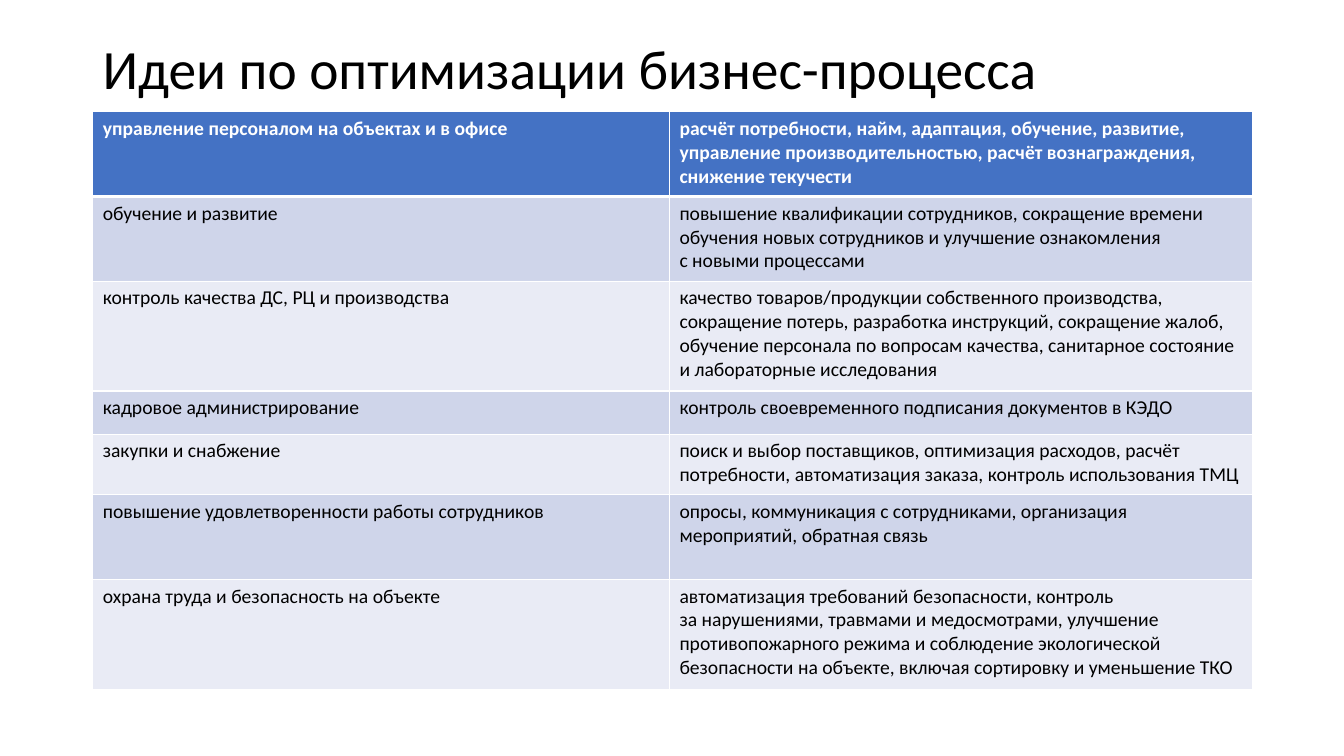
from lxml.etree import SubElement
from pptx import Presentation
from pptx.dml.color import RGBColor
from pptx.enum.text import MSO_ANCHOR as Anchor
from pptx.oxml.ns import qn
from pptx.util import Inches, Pt

WHITE = RGBColor(0xFF, 0xFF, 0xFF)
BLACK = RGBColor(0, 0, 0)
BLUE = RGBColor(0x44, 0x72, 0xC4)
BANDS = RGBColor(0xE9, 0xEB, 0xF5), RGBColor(0xCF, 0xD5, 0xEA)

SHORT = {"и", "в", "с", "на", "по", "за"}
LEFT, WIDE = 6.9, 86.27
COLS = 42.91, 43.36
IDEAS = [
    (11.2, "управление персоналом на объектах и в офисе",
     "расчёт потребности, найм, адаптация, обучение, развитие, управление "
     "производительностью, расчёт вознаграждения, снижение текучести"),
    (11.2, "обучение и развитие",
     "повышение квалификации сотрудников, сокращение времени обучения новых "
     "сотрудников и улучшение ознакомления с новыми процессами"),
    (14.53, "контроль качества ДС, РЦ и производства",
     "качество товаров/продукции собственного производства, сокращение потерь, "
     "разработка инструкций, сокращение жалоб, обучение персонала по вопросам "
     "качества, санитарное состояние и лабораторные исследования"),
    (5.73, "кадровое администрирование",
     "контроль своевременного подписания документов в КЭДО"),
    (8, "закупки и снабжение",
     "поиск и выбор поставщиков, оптимизация расходов, расчёт потребности, "
     "автоматизация заказа, контроль использования ТМЦ"),
    (11.2, "повышение удовлетворенности работы сотрудников",
     "опросы, коммуникация с сотрудниками, организация мероприятий, обратная связь"),
    (14.53, "охрана труда и безопасность на объекте",
     "автоматизация требований безопасности, контроль за нарушениями, травмами "
     "и медосмотрами, улучшение противопожарного режима и соблюдение экологической "
     "безопасности на объекте, включая сортировку и уменьшение ТКО"),
]


def glue(text):
    """Tie each short word to the next one with a no-break space."""
    return "".join(word + (chr(160) if word in SHORT else " ")
                   for word in text.split()).rstrip()


class Deck:
    """Slide builder; lengths are percent of the slide's size."""
    face = "Calibri"

    def __init__(self):
        self.show = Presentation()
        self.show.slide_width = Inches(13.33)
        self.show.slide_height = Inches(7.5)
        self.slide = self.show.slides.add_slide(self.show.slide_layouts[6])

    def across(self, share):
        return round(self.show.slide_width * share / 100)

    def down(self, share):
        return round(self.show.slide_height * share / 100)

    def box(self, left, top, wide, high):
        return self.across(left), self.down(top), self.across(wide), self.down(high)

    def label(self, frame, text, size, color, bold=False):
        frame.text = text
        font = frame.paragraphs[0].runs[0].font
        style = {"name": self.face, "size": Pt(size), "bold": bold}
        for key, value in style.items():
            setattr(font, key, value)
        font.color.rgb = color

    def title(self, text, area):
        frame = self.slide.shapes.add_textbox(*self.box(*area)).text_frame
        style = {"word_wrap": True, "vertical_anchor": Anchor.MIDDLE}
        for key, value in style.items():
            setattr(frame, key, value)
        self.label(frame, text, 39.6, BLACK)
        frame.paragraphs[0].line_spacing = 0.9

    def edge(self, cell, side, width):
        line = SubElement(cell._tc.get_or_add_tcPr(), qn("a:ln" + side),
                          w=str(Pt(width)))
        fill = SubElement(line, qn("a:solidFill"))
        SubElement(fill, qn("a:srgbClr"), val=str(WHITE))

    def table(self, left, top, cols, data):
        area = self.box(left, top, sum(cols), sum(row[0] for row in data))
        grid = self.slide.shapes.add_table(len(data), len(cols), *area).table
        for col, wide in zip(grid.columns, cols):
            col.width = self.across(wide)
        for i, (high, *texts) in enumerate(data):
            grid.rows[i].height = self.down(high)
            head = i == 0
            for j, text in enumerate(texts):
                cell = grid.cell(i, j)
                self.label(cell.text_frame, glue(text), 14,
                           WHITE if head else BLACK, head)
                heavy = {0: "B", 1: "T"}.get(i)
                for side in "LRTB":
                    self.edge(cell, side, 3 if side == heavy else 1)
                cell.fill.solid()
                cell.fill.fore_color.rgb = BLUE if head else BANDS[i % 2]


def main():
    deck = Deck()
    deck.title("Идеи по оптимизации бизнес-процесса", (LEFT, 5.33, WIDE, 8.4))
    deck.table(LEFT, 14.8, COLS, IDEAS)
    deck.show.save("out.pptx")


if __name__ == "__main__":
    main()
